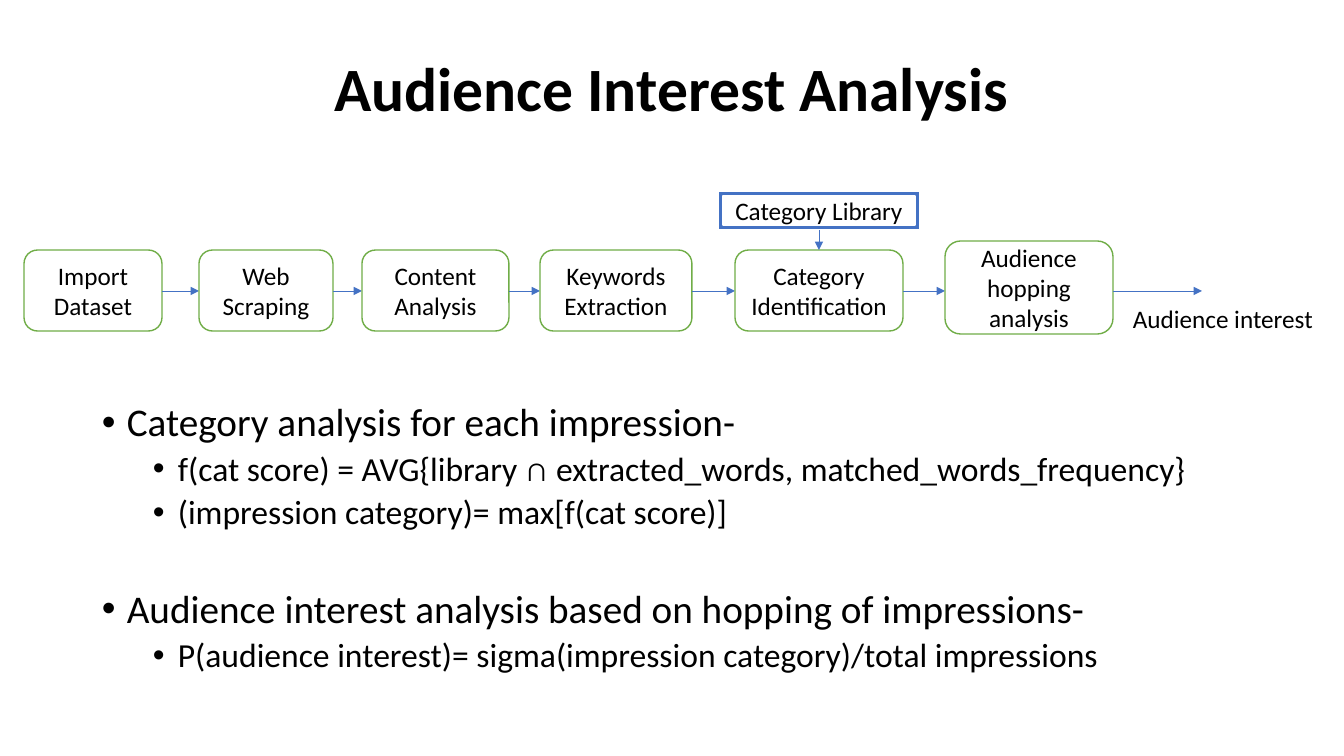
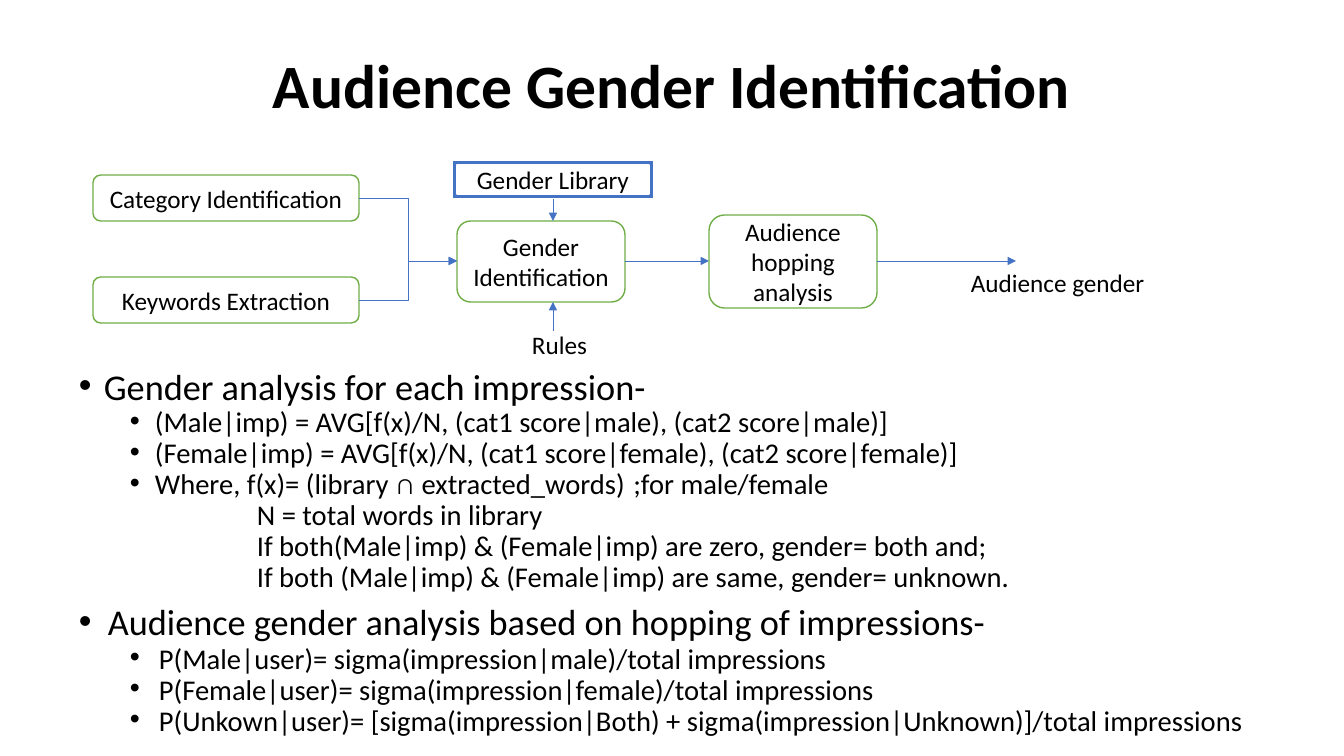
from collections import namedtuple

from lxml import etree
from pptx import Presentation
from pptx.dml.color import RGBColor
from pptx.enum.shapes import MSO_CONNECTOR, MSO_SHAPE
from pptx.enum.text import MSO_ANCHOR, PP_ALIGN
from pptx.oxml.ns import qn
from pptx.util import Pt

ROUNDED, FRAME = MSO_SHAPE.ROUNDED_RECTANGLE, MSO_SHAPE.FRAME
STRAIGHT, ELBOW = MSO_CONNECTOR.STRAIGHT, MSO_CONNECTOR.ELBOW
MIDDLE, TOP = MSO_ANCHOR.MIDDLE, MSO_ANCHOR.TOP
LEFT, CENTER = PP_ALIGN.LEFT, PP_ALIGN.CENTER

# Shared look
PIXEL = 914400 / 100.8
PAGE_WIDTH, PAGE_HEIGHT = 1344, 756
FONT = "Calibri"
BLACK, WHITE, GREEN, BLUE = "000000", "FFFFFF", "70AD47", "4472C4"
TITLE_SIZE, LABEL_SIZE = 44, 18
LIBRARY_WIDTH, LIBRARY_HEIGHT = 202, 39

Box = namedtuple("Box", "left top width height")
LineStyle = namedtuple("LineStyle", "size indent hang spacing before level")


def px(length):
    return round(length * PIXEL)


def color(value):
    return RGBColor.from_string(value)


def inside(area, left, top, width, height):
    return Box(area.left + left, area.top + top, width, height)


def right_of(box):
    return box.left + box.width


def center_of(box):
    return box.left + box.width // 2


def bottom_of(box):
    return box.top + box.height


# Text
def format_paragraph(para, size, bold=False, align=LEFT):
    para.alignment = align
    for span in para.runs:
        span.font.name = FONT
        span.font.size = Pt(size)
        span.font.bold = bold
        span.font.color.rgb = color(BLACK)


def add_text(page, box, text="", anchor=TOP, wrap=True):
    shape = page.shapes.add_textbox(*map(px, box))
    frame = shape.text_frame
    frame.word_wrap = wrap
    frame.vertical_anchor = anchor
    frame.text = text
    format_paragraph(frame.paragraphs[0], LABEL_SIZE)
    return frame


def add_title(page, box, text):
    para = add_text(page, box, text, MIDDLE).paragraphs[0]
    para.line_spacing = 0.9
    format_paragraph(para, TITLE_SIZE, True, CENTER)


def set_bullet(para, style):
    properties = para._p.get_or_add_pPr()
    properties.set("marL", str(px(style.indent)))
    properties.set("indent", str(-px(style.hang)))
    if style.hang:
        etree.SubElement(properties, qn("a:buFont")).set("typeface", "Arial")
        etree.SubElement(properties, qn("a:buChar")).set("char", "•")
    else:
        etree.SubElement(properties, qn("a:buNone"))


def add_outline(page, box, lines):
    frame = add_text(page, box)
    for index, (style, text) in enumerate(lines):
        para = frame.add_paragraph() if index else frame.paragraphs[0]
        para.text = text
        para.level = style.level
        para.line_spacing = style.spacing
        para.space_before = Pt(style.before)
        set_bullet(para, style)
        format_paragraph(para, style.size)


# Diagram parts
def add_node(page, box, text, kind=ROUNDED, fill=WHITE, line=GREEN, weight=1):
    shape = page.shapes.add_shape(kind, *map(px, box))
    shape.shadow.inherit = False
    shape.fill.solid()
    shape.fill.fore_color.rgb = color(fill)
    shape.line.color.rgb = color(line)
    shape.line.width = Pt(weight)
    frame = shape.text_frame
    frame.word_wrap = True
    frame.vertical_anchor = MIDDLE
    frame.text = text
    format_paragraph(frame.paragraphs[0], LABEL_SIZE, align=CENTER)


def add_arrow(page, start, end, kind=STRAIGHT):
    arrow = page.shapes.add_connector(kind, *map(px, start + end))
    arrow.line.color.rgb = color(BLUE)
    arrow.line.width = Pt(0.5)
    etree.SubElement(arrow.line._get_or_add_ln(), qn("a:tailEnd")).set("type", "triangle")
    etree.SubElement(arrow._element.spPr, qn("a:effectLst"))


def add_library(page, area, left, text, target):
    box = inside(area, left, 0, LIBRARY_WIDTH, LIBRARY_HEIGHT)
    add_node(page, box, text, FRAME, BLUE, WHITE, 1.5)
    middle = center_of(box)
    add_arrow(page, (middle, bottom_of(box)), (middle, target.top))


def add_chain(page, steps, axis, end):
    """Draw the steps in a row, an arrow after each, the last one to end."""
    stops = [box.left for _, box in steps[1:]] + [end]
    for (text, box), stop in zip(steps, stops):
        add_node(page, box, text)
        add_arrow(page, (right_of(box), axis), (stop, axis))


def add_interest_flow(page, area):
    spans = [("Import Dataset", 0, 138), ("Web Scraping", 175, 134),
             ("Content Analysis", 338, 147), ("Keywords Extraction", 516, 152),
             ("Category Identification", 711, 168)]
    steps = [(text, inside(area, left, 59, width, 81)) for text, left, width in spans]
    category = steps[-1][1]
    steps.append(("Audience hopping analysis", inside(area, 921, 50, 168, 93)))
    add_chain(page, steps, area.top + 100, area.left + 1178)
    add_library(page, area, 694, "Category Library", category)
    add_text(page, inside(area, 1099, 107, 220, 40), "Audience interest")


def add_gender_flow(page, area):
    axis = area.top + 101
    gender = inside(area, 364, 61, 168, 81)
    hopping = inside(area, 616, 55, 168, 93)
    steps = [("Gender Identification", gender), ("Audience hopping analysis", hopping)]
    add_chain(page, steps, axis, area.left + 923)

    # Two inputs that join before the gender step
    for text, top in (("Category Identification", 15), ("Keywords Extraction", 117)):
        box = inside(area, 0, top, 266, 46)
        add_node(page, box, text)
        add_arrow(page, (right_of(box), box.top + box.height // 2), (gender.left, axis), ELBOW)

    add_library(page, area, 359, "Gender Library", gender)
    rules = inside(area, 429, 164, 76, 40)
    add_text(page, rules, "Rules", wrap=False)
    middle = center_of(gender) + 12
    add_arrow(page, (middle, rules.top + 7), (middle, bottom_of(gender)))
    add_text(page, inside(area, 868, 102, 208, 40), "Audience gender")


# Outline styles: size, indent, hang, line spacing, space before, level
TOPIC = LineStyle(28, 25, 25, 0.9, 10, 0)
LATER_TOPIC = TOPIC._replace(before=41)
FORMULA = LineStyle(24, 76, 25, 0.9, 5, 1)
DENSE_TOPIC = LineStyle(25.9, 25, 25, 0.7, 10, 0)
DENSE_LATER_TOPIC = LineStyle(25.9, 29, 29, 1.0, 5, 0)
DENSE_FORMULA = LineStyle(20.4, 76, 25, 0.7, 5, 1)
DENSE_RESULT = DENSE_FORMULA._replace(indent=80, hang=29)
CONDITION = DENSE_FORMULA._replace(indent=178, hang=0, level=3)

INTEREST_LINES = [
    (TOPIC, "Category analysis for each impression-"),
    (FORMULA, "f(cat score) = AVG{library ∩ extracted_words, matched_words_frequency}"),
    (FORMULA, "(impression category)= max[f(cat score)]"),
    (LATER_TOPIC, "Audience interest analysis based on hopping of impressions-"),
    (FORMULA, "P(audience interest)= sigma(impression category)/total impressions"),
]
GENDER_LINES = [
    (DENSE_TOPIC, "Gender analysis for each impression-"),
    (DENSE_FORMULA, "(Male|imp) = AVG[f(x)/N, (cat1 score|male), (cat2 score|male)]"),
    (DENSE_FORMULA, "(Female|imp) = AVG[f(x)/N, (cat1 score|female), (cat2 score|female)]"),
    (DENSE_FORMULA, "Where, f(x)= (library ∩ extracted_words)\t;for male/female"),
    (CONDITION, "N = total words in library"),
    (CONDITION, "If both(Male|imp) & (Female|imp) are zero, gender= both and;"),
    (CONDITION, "If both (Male|imp) & (Female|imp) are same, gender= unknown."),
    (DENSE_LATER_TOPIC, "Audience gender analysis based on hopping of impressions-"),
    (DENSE_RESULT, "P(Male|user)= sigma(impression|male)/total impressions"),
    (DENSE_RESULT, "P(Female|user)= sigma(impression|female)/total impressions"),
    (DENSE_RESULT, "P(Unkown|user)= [sigma(impression|Both) + "
                   "sigma(impression|Unknown)]/total impressions"),
]


def add_page(deck, title, title_top, add_flow, flow_area, lines, outline_box):
    page = deck.slides.add_slide(deck.slide_layouts[6])
    add_title(page, Box(92, title_top, 1160, 146), title)
    add_flow(page, flow_area)
    add_outline(page, outline_box, lines)


deck = Presentation()
deck.slide_width, deck.slide_height = px(PAGE_WIDTH), px(PAGE_HEIGHT)
add_page(deck, "Audience Interest Analysis", 19,
         add_interest_flow, Box(24, 191, 1320, 147),
         INTEREST_LINES, Box(92, 398, 1160, 283))
add_page(deck, "Audience Gender Identification", 16,
         add_gender_flow, Box(93, 160, 1076, 204),
         GENDER_LINES, Box(69, 371, 1208, 385))
deck.save("out.pptx")
